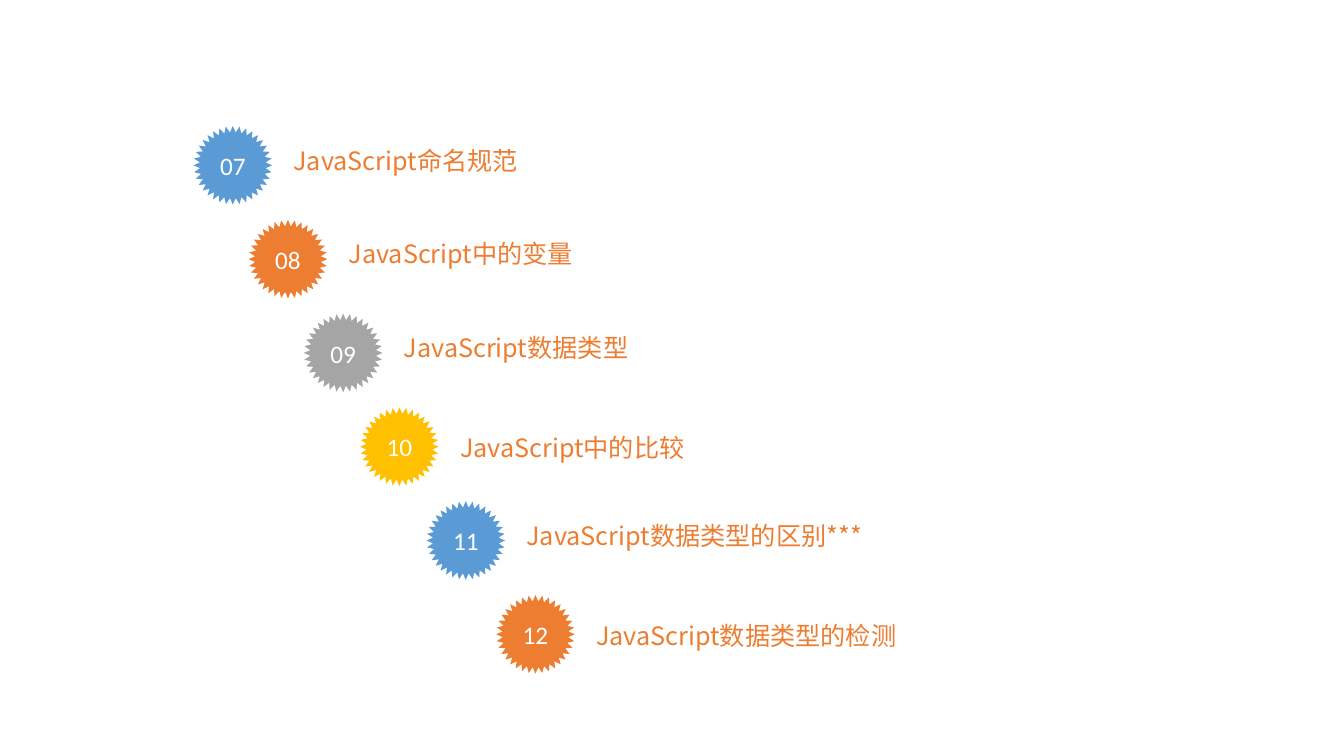
from math import cos, radians, sin

from lxml import etree
from pptx import Presentation
from pptx.dml.color import RGBColor
from pptx.enum.text import MSO_ANCHOR, PP_ALIGN
from pptx.oxml.ns import qn
from pptx.util import Pt

MIDDLE, TOP = MSO_ANCHOR.MIDDLE, MSO_ANCHOR.TOP
CENTER, LEFT = PP_ALIGN.CENTER, PP_ALIGN.LEFT

BLUE = RGBColor(0x5B, 0x9B, 0xD5)
ORANGE = RGBColor(0xED, 0x7D, 0x31)
GRAY = RGBColor(0xA5, 0xA5, 0xA5)
GOLD = RGBColor(0xFF, 0xC0, 0x00)
WHITE = RGBColor(0xFF, 0xFF, 0xFF)
BADGE_COLORS = (BLUE, ORANGE, GRAY, GOLD)

LATIN_FONT = "Calibri"
CHINESE_FONT = "Noto Sans CJK SC"

TEETH = 36
OUTER_RADIUS, INNER_RADIUS = 28.1, 23.5
FIRST_NUMBER = 7
FIRST_TOP, ROW_STEP = 90, 67
LABEL_OFFSET, LABEL_WIDTH, LABEL_HEIGHT = 64.4, 535.7, 37.4

# Topic, left edge of its badge, drop of the label below the badge's top
TOPICS = (
    ("JavaScript命名规范", 138.2, 10),
    ("JavaScript中的变量", 177.6, 10),
    ("JavaScript数据类型", 217, 10),
    ("JavaScript中的比较", 257.2, 14.2),
    ("JavaScript数据类型的区别***", 304.6, 10),
    ("JavaScript数据类型的检测", 354.4, 14.2),
)


def write_text(shape, text, font=LATIN_FONT, size=18, color=WHITE,
               align=LEFT, anchor=TOP):
    frame = shape.text_frame
    frame.word_wrap = True
    frame.vertical_anchor = anchor
    para = frame.paragraphs[0]
    para.alignment = align
    span = para.add_run()
    span.text = text
    span.font.name = font
    span.font.size = Pt(size)
    span.font.color.rgb = color
    # East Asian characters take their own typeface setting
    east_asian = etree.SubElement(span.font._element, qn("a:ea"))
    east_asian.set("typeface", font)


def add_badge(shapes, left, top, number, color):
    """Draw a toothed disc with a two-digit number."""
    points = []
    for step in range(2 * TEETH):
        radius = INNER_RADIUS if step % 2 else OUTER_RADIUS
        angle = radians(step * 180 / TEETH)
        points.append((Pt(left + OUTER_RADIUS + radius * sin(angle)),
                       Pt(top + OUTER_RADIUS - radius * cos(angle))))
    builder = shapes.build_freeform(*points[0])
    builder.add_line_segments(points[1:], close=True)
    badge = builder.convert_to_shape()
    badge.shadow.inherit = False
    badge.fill.solid()
    badge.fill.fore_color.rgb = color
    badge.line.fill.background()
    write_text(badge, f"{number:02d}", align=CENTER, anchor=MIDDLE)


def add_label(shapes, left, top, text):
    box = shapes.add_textbox(Pt(left), Pt(top), Pt(LABEL_WIDTH), Pt(LABEL_HEIGHT))
    write_text(box, text, font=CHINESE_FONT, color=ORANGE)


def main():
    deck = Presentation()
    deck.slide_width, deck.slide_height = Pt(960), Pt(540)
    page = deck.slides.add_slide(deck.slide_layouts[6])

    # One group per topic, stepping down to the right
    for row, (topic, left, drop) in enumerate(TOPICS):
        top = FIRST_TOP + row * ROW_STEP
        color = BADGE_COLORS[row % len(BADGE_COLORS)]
        shapes = page.shapes.add_group_shape().shapes
        add_label(shapes, left + LABEL_OFFSET, top + drop, topic)
        add_badge(shapes, left, top, FIRST_NUMBER + row, color)

    deck.save("out.pptx")


if __name__ == "__main__":
    main()
